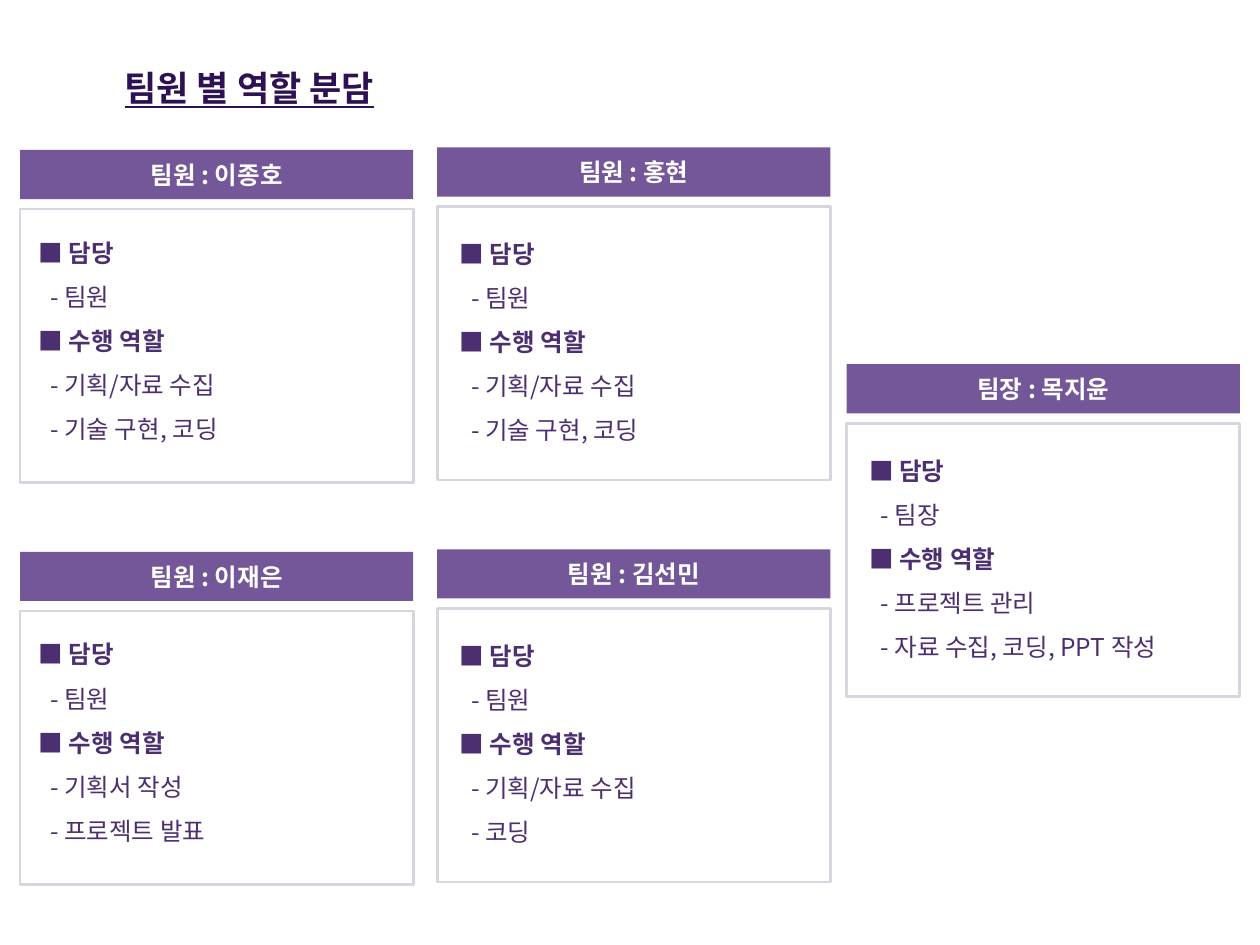
from dataclasses import dataclass

from lxml import etree
from pptx import Presentation
from pptx.dml.color import RGBColor
from pptx.enum.shapes import MSO_SHAPE
from pptx.enum.text import MSO_ANCHOR, MSO_AUTO_SIZE, PP_ALIGN
from pptx.oxml.ns import qn
from pptx.util import Inches, Pt

RECTANGLE = MSO_SHAPE.RECTANGLE
MIDDLE = MSO_ANCHOR.MIDDLE
GROW = MSO_AUTO_SIZE.SHAPE_TO_FIT_TEXT
CENTER = PP_ALIGN.CENTER


@dataclass(frozen=True)
class Theme:
    """Colours, fonts and type sizes of the slide."""
    title: str = "2D1152"
    band: str = "735798"
    band_text: str = "FFFFFF"
    body: str = "4B2F70"
    border: str = "D6D7DE"
    title_font: str = "Arial"
    font: str = "Noto Sans CJK KR"
    title_size: int = 20
    body_size: int = 14


@dataclass(frozen=True)
class Column:
    """A card column: left edge, shift from the row line, offset of the duties."""
    left: float
    shift: float
    inset: float
    drop: float


THEME = Theme()
SLIDE_W, SLIDE_H = 10, 7.5
CARD_W, BAND_H, PANEL_H, PANEL_DROP = 3.12, 0.39, 2.17, 0.47
DUTIES_W, DUTIES_H = 2.99, 1.87
DASH_INDENT = 0.09

COLUMNS = (
    Column(0.16, 0, 0.05, 0.53),
    Column(3.47, -0.02, 0.08, 0.56),
    Column(6.72, 0, 0.08, 0.56),
)
ROW_TOP, ROW_PITCH = 1.19, 3.19
LEADER_ROW = 0.533  # the leader's card sits about midway between the two rows

# column, row, role, name, tasks
MEMBERS = (
    (0, 0, "팀원", "이종호", ("기획/자료 수집", "기술 구현, 코딩")),
    (1, 0, "팀원", "홍현", ("기획/자료 수집", "기술 구현, 코딩")),
    (0, 1, "팀원", "이재은", ("기획서 작성", "프로젝트 발표")),
    (1, 1, "팀원", "김선민", ("기획/자료 수집", "코딩")),
    (2, LEADER_ROW, "팀장", "목지윤", ("프로젝트 관리", "자료 수집, 코딩, PPT 작성")),
)


def box(left, top, width, height):
    """Return a frame given in inches as slide lengths."""
    return [Inches(length) for length in (left, top, width, height)]


def style(paragraph, size, color, bold, font=THEME.font):
    """Format every run of a paragraph, East Asian font included."""
    for run in paragraph.runs:
        run.font.name = font
        run.font.size = Pt(size)
        run.font.bold = bold
        run.font.color.rgb = RGBColor.from_string(color)
        east_asian = etree.SubElement(run.font._element, qn("a:ea"))
        east_asian.set("typeface", THEME.font)


def add_title(slide, text):
    """Add the underlined slide title."""
    frame = slide.shapes.add_textbox(*box(0.89, 0.48, 2.46, 0.44)).text_frame
    frame.word_wrap = False
    frame.auto_size = GROW
    frame.text = text
    heading = frame.paragraphs[0]
    style(heading, THEME.title_size, THEME.title, True, THEME.title_font)
    heading.runs[0].font.underline = True


def add_card(slide, left, top, label):
    """Add a grouped name band and outlined panel."""
    card = slide.shapes.add_group_shape()
    band = card.shapes.add_shape(RECTANGLE, *box(left, top, CARD_W, BAND_H))
    band.shadow.inherit = False
    band.fill.solid()
    band.fill.fore_color.rgb = RGBColor.from_string(THEME.band)
    band.line.fill.background()
    band.text_frame.vertical_anchor = MIDDLE
    band.text_frame.text = label
    name = band.text_frame.paragraphs[0]
    name.alignment = CENTER
    style(name, THEME.body_size, THEME.band_text, True)

    panel = card.shapes.add_shape(
        RECTANGLE, *box(left, top + PANEL_DROP, CARD_W, PANEL_H))
    panel.shadow.inherit = False
    panel.fill.background()
    panel.line.color.rgb = RGBColor.from_string(THEME.border)
    panel.line.width = Pt(1.5)


def add_duties(slide, left, top, role, tasks):
    """Add the headed list of a member's position and tasks."""
    frame = slide.shapes.add_textbox(
        *box(left, top, DUTIES_W, DUTIES_H)).text_frame
    frame.word_wrap = True
    frame.auto_size = GROW
    lines = ["■ 담당", f"- {role}", "■ 수행 역할"]
    lines += [f"- {task}" for task in tasks]
    frame.text = "\n".join(lines)
    for line in frame.paragraphs:
        is_heading = line.text.startswith("■")
        line.line_spacing = 1.5
        if not is_heading:
            line._p.get_or_add_pPr().set("marL", str(Inches(DASH_INDENT)))
        style(line, THEME.body_size, THEME.body, is_heading)


def main():
    """Build the team roles slide."""
    deck = Presentation()
    deck.slide_width, deck.slide_height = Inches(SLIDE_W), Inches(SLIDE_H)
    slide = deck.slides.add_slide(deck.slide_layouts[6])
    add_title(slide, "팀원 별 역할 분담")
    for column_index, row, role, name, tasks in MEMBERS:
        column = COLUMNS[column_index]
        top = ROW_TOP + row * ROW_PITCH + column.shift
        add_card(slide, column.left, top, f"{role} : {name}")
        add_duties(slide, column.left + column.inset, top + column.drop,
                   role, tasks)
    deck.save("out.pptx")


main()
